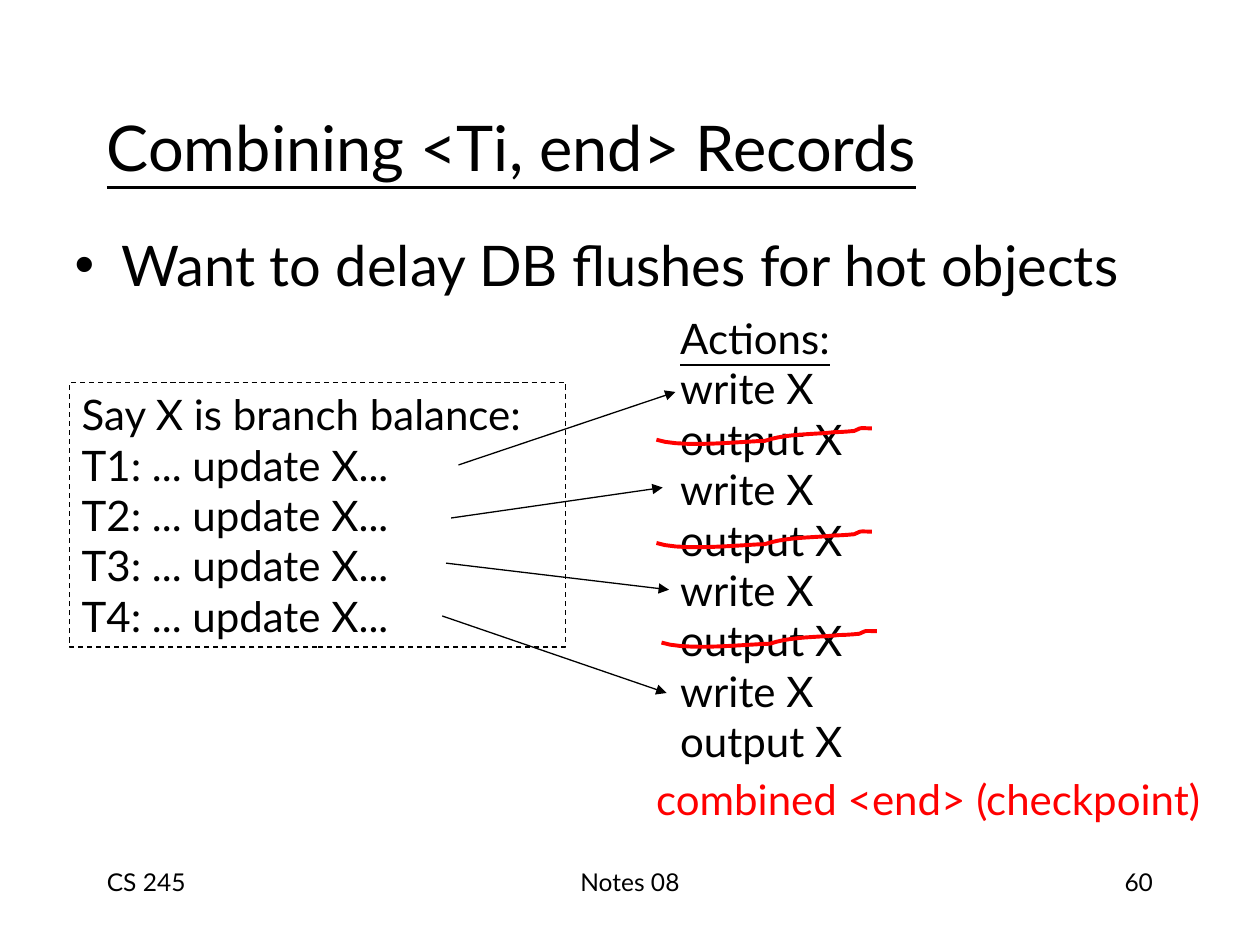
from lxml.etree import SubElement
from pptx import Presentation
from pptx.dml.color import RGBColor
from pptx.enum.dml import MSO_LINE
from pptx.enum.shapes import MSO_CONNECTOR, MSO_SHAPE
from pptx.enum.text import MSO_ANCHOR, MSO_AUTO_SIZE, PP_ALIGN
from pptx.oxml.ns import qn
from pptx.util import Pt

COLORS = {"ink": "000000", "red": "FF0000", "paper": "FFFFFF"}
FONT = "Lato"
STROKE = [
    ((14.4, 5), (51.8, 0.7), (61.9, 0.7)),
    ((74.2, -3.6), (90, -2.9), (101.5, -4.3)),
    ((105.8, -4.3), (113, -5), (113, -5)),
    ((118, -7.2), (115.2, -6.5), (123.1, -6.5)),
]


def rgb(name):
    return RGBColor.from_string(COLORS[name])


def set_line(s, color, width):
    s.line.color.rgb = rgb(color)
    s.line.width = Pt(width)


def add_bullet(p, indent):
    pPr = p._p.get_or_add_pPr()
    pPr.set("marL", str(Pt(indent)))
    pPr.set("indent", str(-Pt(indent)))
    SubElement(pPr, qn("a:buFont")).set("typeface", "Arial")
    SubElement(pPr, qn("a:buChar")).set("char", "•")


def write(s, text, size=24, color="ink", align=PP_ALIGN.LEFT, anchor=MSO_ANCHOR.TOP,
          underline=0, bullet=0, grow=False):
    tf = s.text_frame
    tf.word_wrap = not grow
    tf.auto_size = MSO_AUTO_SIZE.SHAPE_TO_FIT_TEXT if grow else MSO_AUTO_SIZE.NONE
    tf.vertical_anchor = anchor
    for i, line in enumerate(text.split("\n")):
        p = tf.paragraphs[0] if i == 0 else tf.add_paragraph()
        p.alignment = align
        if bullet:
            add_bullet(p, bullet)
        r = p.add_run()
        r.text = line
        r.font.name = FONT
        r.font.size = Pt(size)
        r.font.color.rgb = rgb(color)
        if i < underline:
            r.font.underline = True


def add_text(slide, box, text, **fmt):
    s = slide.shapes.add_textbox(*map(Pt, box))
    write(s, text, **fmt)


def add_dashed_box(slide, box, text):
    s = slide.shapes.add_shape(MSO_SHAPE.RECTANGLE, *map(Pt, box))
    s.shadow.inherit = False
    s.fill.background()
    set_line(s, "ink", 0.75)
    s.line.dash_style = MSO_LINE.DASH
    write(s, text, grow=True)


def add_arrow(slide, *ends):
    s = slide.shapes.add_connector(MSO_CONNECTOR.STRAIGHT, *map(Pt, ends))
    set_line(s, "ink", 0.75)
    SubElement(s.line._get_or_add_ln(), qn("a:tailEnd")).set("type", "triangle")
    SubElement(s._element.spPr, qn("a:effectLst"))


def bezier(p0, p1, p2, p3, t):
    u = 1 - t
    return tuple(u**3 * a + 3 * u * u * t * b + 3 * u * t * t * c + t**3 * d
                 for a, b, c, d in zip(p0, p1, p2, p3))


def add_strike(slide, x, y, steps=10):
    points, start = [], (0, 0)
    for curve in STROKE:
        points += [bezier(start, *curve, i / steps) for i in range(1, steps + 1)]
        start = curve[-1]
    fb = slide.shapes.build_freeform(Pt(x), Pt(y))
    fb.add_line_segments([(Pt(x + dx), Pt(y + dy)) for dx, dy in points], close=False)
    s = fb.convert_to_shape()
    s.shadow.inherit = False
    s.fill.background()
    set_line(s, "red", 2.25)


def main():
    prs = Presentation()
    prs.slide_width, prs.slide_height = Pt(720), Pt(540)
    slide = prs.slides.add_slide(prs.slide_layouts[6])
    slide.background.fill.solid()
    slide.background.fill.fore_color.rgb = rgb("paper")

    for x, w, text, align in [
        (54, 150, "CS 245", PP_ALIGN.LEFT),
        (246, 228, "Notes 08", PP_ALIGN.CENTER),
        (516, 150, "60", PP_ALIGN.RIGHT),
    ]:
        add_text(slide, (x, 492, w, 36), text, size=14, align=align)

    add_text(slide, (54, 48, 612, 71), "Combining <Ti, end> Records",
             size=36, underline=1, anchor=MSO_ANCHOR.MIDDLE)
    add_text(slide, (35.5, 128, 647, 53), "Want to delay DB flushes for hot objects",
             size=32, bullet=27)

    updates = [f"T{i}: ... update X..." for i in range(1, 5)]
    add_dashed_box(slide, (39.6, 218.6, 283.7, 151.2),
                   "\n".join(["Say X is branch balance:"] + updates))
    add_text(slide, (381.6, 175, 110.9, 266.4),
             "\n".join(["Actions:"] + ["write X", "output X"] * 4), underline=1, grow=True)

    for ends in [
        (262, 265.7, 386, 224),
        (257.8, 296, 378.7, 278.6),
        (254.9, 321.8, 382.3, 337),
        (252.7, 352, 380.9, 396),
    ]:
        add_arrow(slide, *ends)

    for x, y in [(375.1, 251.3), (375.1, 310.3), (378, 367.2)]:
        add_strike(slide, x, y)
    add_text(slide, (367.9, 438.5, 347.8, 36), "combined <end> (checkpoint)",
             color="red", grow=True)

    prs.save("out.pptx")


if __name__ == "__main__":
    main()
